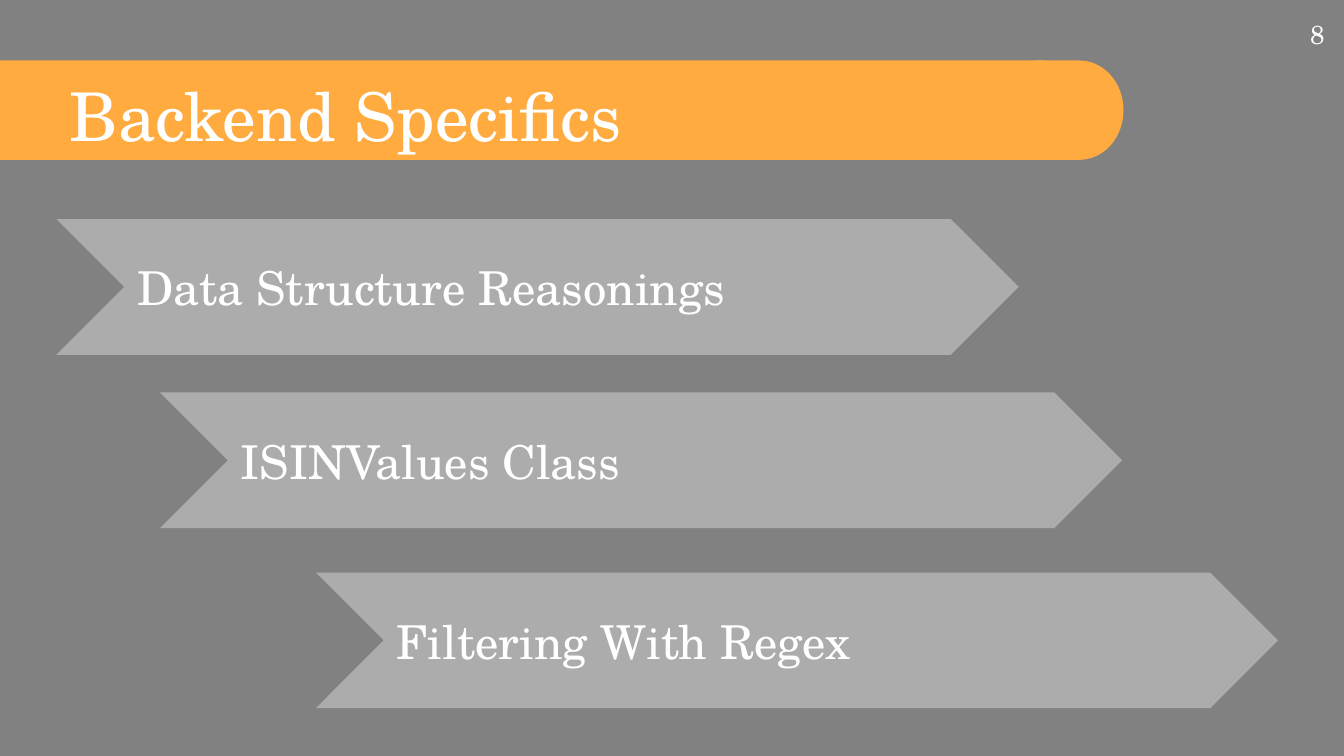
from pptx import Presentation
from pptx import util as u
from pptx.dml.color import RGBColor
from pptx.enum import shapes, text
from pptx.oxml.ns import qn
from lxml import etree

WIDTH = 10
HEIGHT = WIDTH * 9 / 16
FONT = "TeX Gyre Schola"
WHITE = RGBColor(0xFF, 0xFF, 0xFF)
DARK = RGBColor(0x1A, 0x1A, 0x1A)
ORANGE = RGBColor(0xFF, 0xAB, 0x40)
SILVER = RGBColor(0xD0, 0xD0, 0xD0)

MARGIN = 0.42
BANNER_TOP, BANNER_HEIGHT = 0.45, 0.74
ARROW_WIDTH, ARROW_HEIGHT = 7.16, 1.01
OPACITY = 55
TOPICS = [
    (MARGIN, 1.63, "Data Structure Reasonings"),
    (1.19, 2.92, "ISINValues Class"),
    (2.35, 4.26, "Filtering With Regex"),
]


def inches(*lengths):
    return [u.Inches(n) for n in lengths]


def add_block(s, kind, box, color, opacity=100):
    """Add a borderless preset shape; opacity is in percent."""
    sp = s.shapes.add_shape(kind, *inches(*box))
    sp.shadow.inherit = False
    sp.line.fill.background()
    sp.fill.solid()
    sp.fill.fore_color.rgb = color
    if opacity < 100:
        clr = sp.fill._xPr.find(f"{qn('a:solidFill')}/{qn('a:srgbClr')}")
        etree.SubElement(clr, qn("a:alpha"), val=str(opacity * 1000))
    return sp


def write(sp, words, size, color=WHITE, anchor=text.MSO_ANCHOR.TOP):
    tf = sp.text_frame
    tf.word_wrap = True
    tf.vertical_anchor = anchor
    tf.margin_left = tf.margin_right = u.Inches(0.1)
    tf.margin_top = tf.margin_bottom = u.Inches(0.1)
    p = tf.paragraphs[0]
    p.alignment = text.PP_ALIGN.LEFT
    r = p.add_run()
    r.text = words
    r.font.name = FONT
    r.font.size = u.Pt(size)
    r.font.color.rgb = color


def add_label(s, box, words, size):
    write(s.shapes.add_textbox(*inches(*box)), words, size)


def add_banner(s, title):
    kind = shapes.MSO_SHAPE
    add_block(s, kind.RECTANGLE, (-0.19, BANNER_TOP, 7.97, BANNER_HEIGHT), ORANGE)
    add_block(s, kind.FLOWCHART_DELAY, (7.7, BANNER_TOP, 0.66, BANNER_HEIGHT), ORANGE)
    add_label(s, (MARGIN, BANNER_TOP, 7.59, BANNER_HEIGHT), title, 36)


def add_topic(s, left, top, words):
    box = (left, top, ARROW_WIDTH, ARROW_HEIGHT)
    sp = add_block(s, shapes.MSO_SHAPE.CHEVRON, box, SILVER, OPACITY)
    write(sp, words, 25, anchor=text.MSO_ANCHOR.MIDDLE)


def main():
    prs = Presentation()
    prs.slide_width, prs.slide_height = inches(WIDTH, HEIGHT)
    s = prs.slides.add_slide(prs.slide_layouts[6])
    add_block(s, shapes.MSO_SHAPE.RECTANGLE, (0, 0, WIDTH, HEIGHT), DARK, OPACITY)
    add_banner(s, "Backend Specifics")
    add_label(s, (9.65, 0.04, 0.35, 0.48), "8", 14)
    for left, top, words in TOPICS:
        add_topic(s, left, top, words)
    prs.save("out.pptx")


if __name__ == "__main__":
    main()
